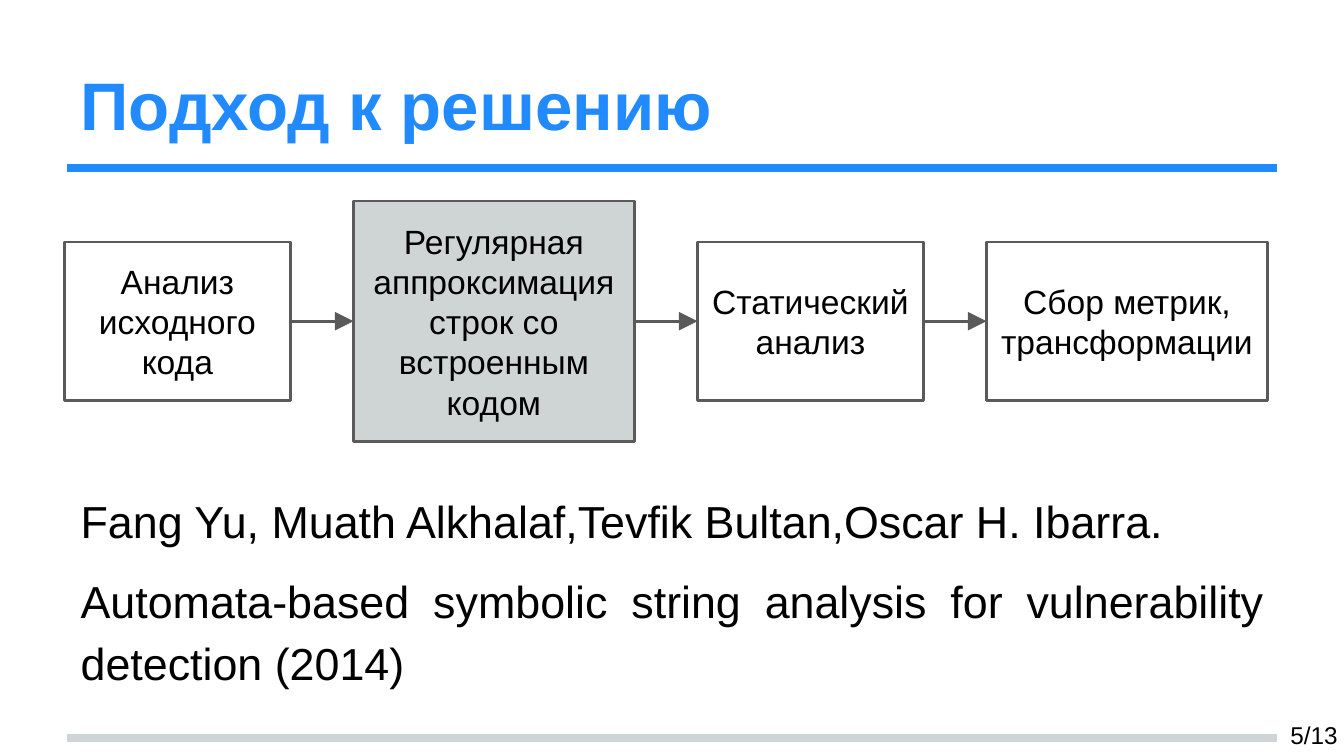
"""Build the "Подход к решению" slide: a four-step pipeline and its reference."""
from itertools import pairwise

from pptx import Presentation
from pptx.dml.color import RGBColor
from pptx.enum.shapes import MSO_CONNECTOR, MSO_SHAPE
from pptx.enum.text import MSO_ANCHOR, MSO_AUTO_SIZE, PP_ALIGN
from pptx.oxml.ns import qn
from pptx.util import Inches, Pt
from lxml import etree

BLUE = RGBColor(0x22, 0x8A, 0xFF)
SILVER = RGBColor(0xCF, 0xD4, 0xD4)
GREY = RGBColor(0x5B, 0x59, 0x5A)
WHITE = RGBColor(0xFF, 0xFF, 0xFF)
BLACK = RGBColor(0, 0, 0)

STRAIGHT, RECTANGLE = MSO_CONNECTOR.STRAIGHT, MSO_SHAPE.RECTANGLE
TOP, MIDDLE, BOTTOM = MSO_ANCHOR.TOP, MSO_ANCHOR.MIDDLE, MSO_ANCHOR.BOTTOM
LEFT, CENTER, RIGHT = PP_ALIGN.LEFT, PP_ALIGN.CENTER, PP_ALIGN.RIGHT
JUSTIFY = PP_ALIGN.JUSTIFY
NO_AUTOFIT = MSO_AUTO_SIZE.NONE

WIDTH = 10
HEIGHT = WIDTH * 9 / 16
MARGIN = 0.05 * WIDTH
CONTENT = WIDTH - 2 * MARGIN
FLOW_LEFT, FLOW_MIDDLE, FLOW_GAP = 0.48, 2.39, 0.47
NARROW, WIDE, LOW, TALL = 1.68, 2.09, 1.18, 1.79

STEPS = [
    ("Анализ исходного кода", NARROW, LOW, WHITE),
    ("Регулярная аппроксимация строк со встроенным кодом", WIDE, TALL, SILVER),
    ("Статический анализ", NARROW, LOW, WHITE),
    ("Сбор метрик, трансформации", WIDE, LOW, WHITE),
]
REFERENCE = [
    "Fang Yu, Muath Alkhalaf,Tevfik Bultan,Oscar H. Ibarra.",
    "Automata-based symbolic string analysis for vulnerability detection (2014)",
]


def place(shape, left, top, width, height):
    shape.left, shape.top = Inches(left), Inches(top)
    shape.width, shape.height = Inches(width), Inches(height)


def write(shape, *paragraphs, size, color=BLACK, bold=False, align=LEFT,
          anchor=TOP, spacing=1.0, after=0):
    frame = shape.text_frame
    frame.text = "\n".join(paragraphs)
    frame.word_wrap = True
    frame.auto_size = NO_AUTOFIT
    frame.vertical_anchor = anchor
    frame.margin_left = frame.margin_right = Inches(0.1)
    frame.margin_top = frame.margin_bottom = Inches(0.1)
    for paragraph in frame.paragraphs:
        paragraph.alignment = align
        paragraph.line_spacing = spacing
        paragraph.space_before, paragraph.space_after = Pt(0), Pt(after)
        for run in paragraph.runs:
            run.font.name, run.font.size = "Arial", Pt(size)
            run.font.bold, run.font.color.rgb = bold, color


def remove_bullets(shape):
    for paragraph in shape.text_frame.paragraphs:
        properties = paragraph._p.get_or_add_pPr()
        properties.set("marL", "0")
        properties.set("indent", "0")
        etree.SubElement(properties, qn("a:buNone"))


def add_line(slide, start, end, y, color, weight, arrow=False):
    line = slide.shapes.add_connector(
        STRAIGHT, Inches(start), Inches(y), Inches(end), Inches(y))
    line.line.color.rgb, line.line.width = color, Pt(weight)
    properties = line._element.spPr
    if arrow:
        outline = properties.find(qn("a:ln"))
        etree.SubElement(outline, qn("a:tailEnd"), type="triangle", w="lg", len="lg")
    etree.SubElement(properties, qn("a:effectLst"))


def add_step(slide, label, left, width, height, fill):
    step = slide.shapes.add_shape(
        RECTANGLE, Inches(left), Inches(FLOW_MIDDLE - height / 2),
        Inches(width), Inches(height))
    step.shadow.inherit = False
    step.fill.solid()
    step.fill.fore_color.rgb = fill
    step.line.color.rgb, step.line.width = GREY, Pt(1.5)
    write(step, label, size=18, align=CENTER, anchor=MIDDLE)


def add_pipeline(slide):
    left, spans = FLOW_LEFT, []
    for label, width, height, fill in STEPS:
        add_step(slide, label, left, width, height, fill)
        spans.append((left, left + width))
        left += width + FLOW_GAP
    for (_, start), (end, _) in pairwise(spans):
        add_line(slide, start, end, FLOW_MIDDLE, GREY, 1.5, arrow=True)


def main():
    deck = Presentation()
    deck.slide_width, deck.slide_height = Inches(WIDTH), Inches(HEIGHT)
    slide = deck.slides.add_slide(deck.slide_layouts[1])

    for y, color in ((5.49, SILVER), (1.25, BLUE)):
        add_line(slide, MARGIN, WIDTH - MARGIN, y, color, 4)

    title, reference = slide.placeholders
    place(title, MARGIN, 0.23, CONTENT, 0.94)
    write(title, "Подход к решению", size=36, color=BLUE, bold=True, anchor=BOTTOM)
    place(reference, MARGIN, 3.51, CONTENT, 1.74)
    write(reference, *REFERENCE, size=24, align=JUSTIFY, spacing=1.15, after=10)
    remove_bullets(reference)

    add_pipeline(slide)
    page = slide.shapes.add_textbox(
        Inches(9.2), Inches(5.25), Inches(0.85), Inches(0.43))
    write(page, "5/13", size=13, align=RIGHT, anchor=MIDDLE)
    deck.save("out.pptx")


if __name__ == "__main__":
    main()
